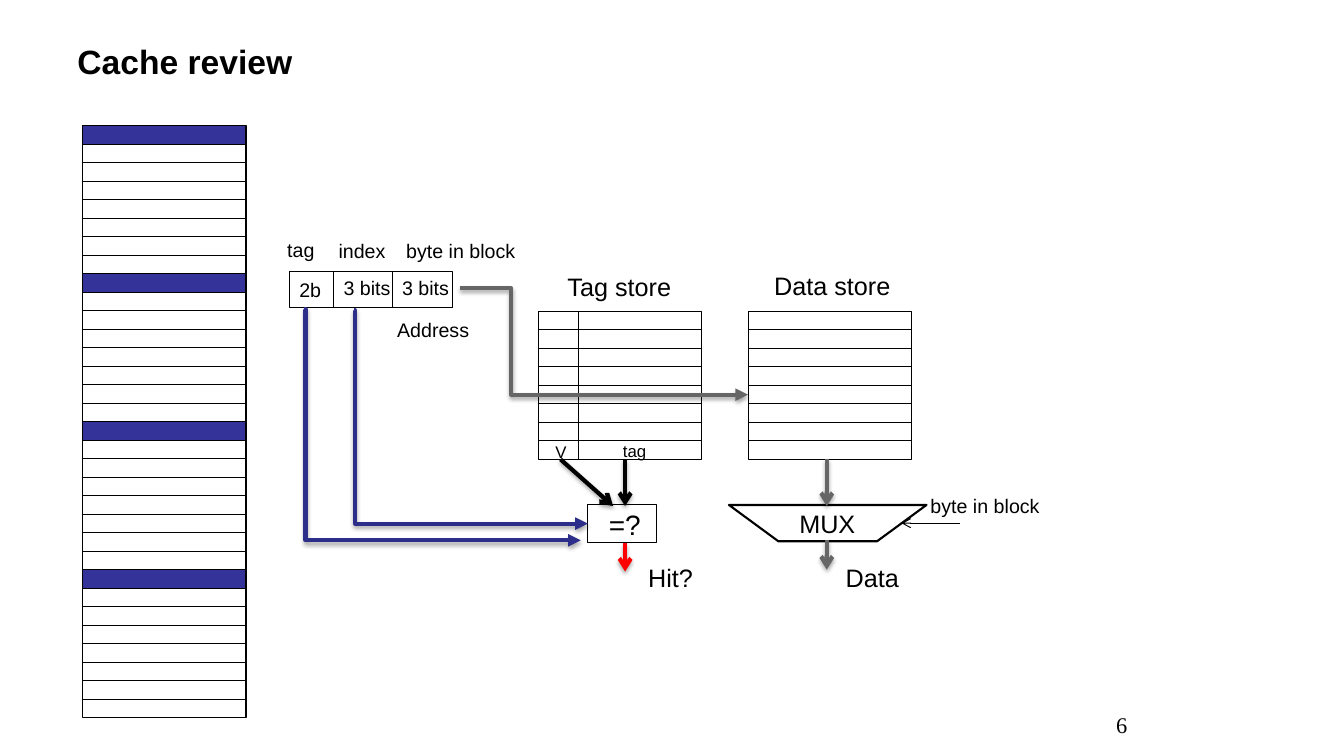
"""Build the cache review slide: memory blocks, tag store, data store and lookup paths."""
from lxml import etree
from pptx import Presentation
from pptx import util as u
from pptx.dml.color import RGBColor
from pptx.enum import shapes, text
from pptx.oxml.ns import qn

deck = Presentation()
deck.slide_width, deck.slide_height = u.Inches(13.33), u.Inches(7.5)
page = deck.slides.add_slide(deck.slide_layouts[6]).shapes
unit = u.Inches(0.1)
black, blue, navy, gray, red = "000000", "333399", "2D2D8A", "666666", "FF0000"


def paint(part, tone):
    part.solid()
    part.fore_color.rgb = RGBColor.from_string(tone)


def label(words, left, top, wide, high, size, font="Arial"):
    box = page.add_textbox(*[round(n * unit) for n in (left, top, wide, high)])
    para = box.text_frame.paragraphs[0]
    para.text = words
    para.font.size, para.font.name = u.Pt(size), font
    paint(para.font.fill, black)
    box.text_frame.word_wrap = False
    return box.text_frame


title = label("Cache review", 6.7, 3, 120, 6.1, 24)
title.word_wrap = True
title.vertical_anchor = text.MSO_ANCHOR.MIDDLE
title.paragraphs[0].font.bold = True
number = label("6", 89.5, 68.7, 23.3, 5, 16, "Times New Roman")
number.word_wrap = True
number.vertical_anchor = text.MSO_ANCHOR.BOTTOM
number.paragraphs[0].alignment = text.PP_ALIGN.RIGHT

wide, high, store = 16.2, 58.7 / 32, 30.9
base = store + 8 * high
cells = [(8.2, 12.5 + row * high, wide, high, row % 8 == 0) for row in range(32)]
cells += [(left, store + row * high, wide, high, False)
          for left in (53.4, 74.2) for row in range(8)]
cells += [(28.7, 26.9, wide, 3.6, False), (58.3, 50.1, 6.8, 3.7, False)]
rects = []
for *place, full in cells:
    rect = page.add_shape(shapes.MSO_SHAPE.RECTANGLE, *[round(n * unit) for n in place])
    rect.shadow.inherit = False
    if full:
        paint(rect.fill, blue)
    else:
        rect.fill.background()
    paint(rect.line.fill, black)
    rect.line.width = u.Pt(0.75)
    rects.append(rect)
check, block = rects[-1], rects[44]

path = page.build_freeform(round(91.9 * unit), round(50.1 * unit), 1)
path.add_line_segments([(round(x * unit), round(y * unit))
                        for x, y in ((87, 53.7), (77.2, 53.7), (72.3, 50.1))])
mux = path.convert_to_shape()
mux.shadow.inherit = False
mux.fill.background()
paint(mux.line.fill, black)
mux.line.width = u.Pt(1.5)

for note in (
    ("Tag store", 55.3, 26.4, 12.4, 4, 18),
    ("Data store", 75.8, 26.3, 13.7, 4, 18),
    ("Address", 38.4, 31.1, 9.2, 3.4, 14),
    ("tag", 27.5, 23.1, 4.7, 3.4, 14),
    ("index", 32.6, 23.2, 6.7, 3.4, 14),
    ("byte in block", 39.3, 23.2, 12.9, 3.4, 14),
    ("2b", 28.7, 27.1, 4.2, 3.4, 14),
    ("3 bits", 33.1, 26.9, 6.7, 3.4, 14),
    ("3 bits", 38.9, 26.9, 6.7, 3.4, 14),
    ("V", 54.1, 43.3, 3.1, 3, 12),
    ("tag", 60.8, 43.2, 4.4, 3, 12),
    ("=?", 59.4, 49.9, 5.2, 4.4, 20),
    ("MUX", 78.3, 49.9, 7.6, 4, 18),
    ("byte in block", 91.3, 48.5, 12.9, 3.4, 14),
    ("Hit?", 63.3, 55.3, 6.5, 4, 18),
    ("Data", 82.9, 55.3, 7.3, 4, 18),
):
    label(*note).auto_size = text.MSO_AUTO_SIZE.SHAPE_TO_FIT_TEXT

for x1, y1, x2, y2, tone, size, head, bend, goal in (
    (33.1, 26.9, 33.1, 30.5, black, 0.75, None, None, None),
    (38.9, 26.9, 38.9, 30.5, black, 0.75, None, None, None),
    (57.4, store, 57.4, base, black, 0.75, None, None, None),
    (62, base, 62, 50.2, black, 3, "arrow", None, None),
    (55.6, base, 60.8, 50.2, black, 3, "arrow", None, None),
    (82, base, 82, 50.2, gray, 3, "arrow", None, None),
    (95.2, 51.9, 89.4, 51.9, black, 0.75, "arrow", None, None),
    (62, 53.9, 62, 56.7, red, 3, "arrow", None, None),
    (82, 53.6, 82, 56.5, gray, 3, "arrow", None, None),
    (35.1, 30.8, 58.3, 52, navy, 3, "triangle", 600, check),
    (30.2, 30.7, 57.6, 53.6, navy, 3, "triangle", 400, None),
    (45.6, 28.6, 74.2, 39.2, gray, 3, "triangle", 17900, block),
):
    kind = shapes.MSO_CONNECTOR.ELBOW if bend else shapes.MSO_CONNECTOR.STRAIGHT
    link = page.add_connector(kind, *[round(n * unit) for n in (x1, y1, x2, y2)])
    if goal:
        link.end_connect(goal, 1)
    paint(link.line.fill, tone)
    link.line.width = u.Pt(size)
    prop = link.element.spPr
    if bend:
        etree.SubElement(prop.find(".//" + qn("a:avLst")), qn("a:gd"),
                         name="adj1", fmla=f"val {bend}")
    if head:
        etree.SubElement(prop.find(qn("a:ln")), qn("a:tailEnd"), type=head)
    glow = etree.SubElement(prop, qn("a:effectLst"))
    if size == 3:
        cast = etree.SubElement(glow, qn("a:outerShdw"), blurRad=str(u.Pt(3.1)),
                                dist=str(u.Pt(1.8)), dir="5400000", rotWithShape="0")
        shade = etree.SubElement(cast, qn("a:srgbClr"), val=black)
        etree.SubElement(shade, qn("a:alpha"), val="35000")

deck.save("out.pptx")
